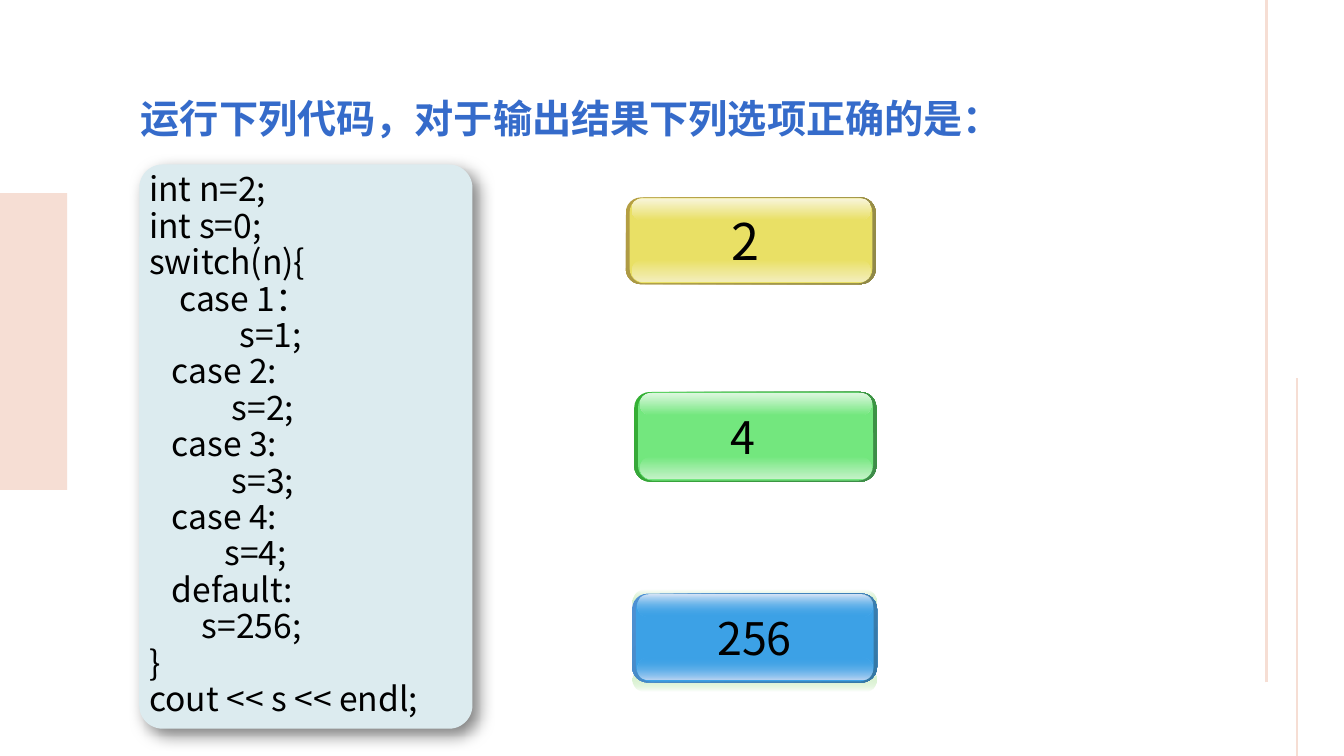
import pptx
import pptx.util
import pptx.dml.color
import pptx.enum.shapes
import pptx.enum.text
import pptx.oxml
import pptx.oxml.ns

Pt = pptx.util.Pt
RGBColor = pptx.dml.color.RGBColor
SHAPE = pptx.enum.shapes.MSO_SHAPE
ANCHOR = pptx.enum.text.MSO_ANCHOR
qn = pptx.oxml.ns.qn

FONT = "Noto Sans CJK SC"
BLACK = RGBColor(0x00, 0x00, 0x00)
WHITE = RGBColor(0xFF, 0xFF, 0xFF)
PINK = RGBColor(0xF6, 0xDE, 0xD4)
CARD = RGBColor(0xDC, 0xEB, 0xEF)
TITLE_BLUE = RGBColor(0x35, 0x6B, 0xCA)
GLOW = RGBColor(0x6E, 0xCC, 0x4C)

# rim start, rim end, face, top shine, bottom shine
YELLOW = (RGBColor(0xB5, 0x9F, 0x43), RGBColor(0x8F, 0x88, 0x49),
          RGBColor(0xE9, 0xE0, 0x65), RGBColor(0xF8, 0xF5, 0xDB),
          RGBColor(0xF3, 0xEE, 0xBB))
GREEN = (RGBColor(0x34, 0xB0, 0x34), RGBColor(0x3F, 0x8B, 0x4A),
         RGBColor(0x73, 0xE7, 0x7E), RGBColor(0xDD, 0xF7, 0xDF),
         RGBColor(0xC3, 0xF2, 0xC7))
BLUE = (RGBColor(0x4E, 0x91, 0xD4), RGBColor(0x34, 0x77, 0xA4),
        RGBColor(0x3C, 0xA1, 0xE6), RGBColor(0xD7, 0xE5, 0xF7),
        RGBColor(0xBD, 0xD6, 0xF3))

TITLE = "运行下列代码，对于输出结果下列选项正确的是："
CODE = """int n=2;
int s=0;
switch(n){
    case 1：
            s=1;
   case 2:
           s=2;
   case 3:
           s=3;
   case 4:
          s=4;
   default:
       s=256;
}
cout << s << endl;"""


def set_attrs(obj, values):
    for name, value in values.items():
        setattr(obj, name, value)


def add_block(slide, box, color=None, radius=None):
    """Add a borderless rectangle, rounded when a radius ratio is given."""
    kind = SHAPE.RECTANGLE if radius is None else SHAPE.ROUNDED_RECTANGLE
    sp = slide.shapes.add_shape(kind, *map(Pt, box))
    if radius is not None:
        sp.adjustments[0] = radius
    sp.shadow.inherit = False
    sp.line.fill.background()
    if color is not None:
        sp.fill.solid()
        sp.fill.fore_color.rgb = color
    return sp


def add_gradient_block(slide, box, radius, colors, angle, clear=None):
    """Angle is clockwise; clear is the colour that fades to transparent."""
    sp = add_block(slide, box, radius=radius)
    sp.fill.gradient()
    sp.fill.gradient_angle = 360 - angle
    for stop, color in zip(sp.fill.gradient_stops, colors):
        stop.color.rgb = color
    for clr in sp.element.spPr.iter(qn("a:srgbClr")):
        if clr.get("val") == str(clear):
            pptx.oxml.ns  # namespace lookup stays with qn
            clr.append(clr.makeelement(qn("a:alpha"), {"val": "0"}))


def add_card_shadow(sp):
    effects = sp.element.spPr.find(qn("a:effectLst"))
    effects.append(pptx.oxml.parse_xml(
        f'<a:outerShdw {pptx.oxml.ns.nsdecls("a")} blurRad="{Pt(12)}"'
        f' dist="{Pt(6)}" dir="2700000" algn="tl" rotWithShape="0">'
        '<a:srgbClr val="000000"><a:alpha val="50000"/></a:srgbClr>'
        '</a:outerShdw>'))


def write_lines(tf, text, size, color=BLACK, bold=False, spacing=None):
    for i, line in enumerate(text.split("\n")):
        p = tf.paragraphs[0] if i == 0 else tf.add_paragraph()
        set_attrs(p, {"alignment": pptx.enum.text.PP_ALIGN.LEFT,
                      "line_spacing": spacing})
        r = p.add_run()
        r.text = line
        r.font.color.rgb = color
        set_attrs(r.font, {"name": FONT, "size": Pt(size), "bold": bold})
        rPr = r.font._element
        rPr.append(rPr.makeelement(qn("a:ea"), {"typeface": FONT}))


def add_text(slide, box, text, size, **style):
    tf = slide.shapes.add_textbox(*map(Pt, box)).text_frame
    tf.word_wrap = True
    write_lines(tf, text, size, **style)


def add_rule(slide, x, top, bottom, width):
    line = slide.shapes.add_connector(
        pptx.enum.shapes.MSO_CONNECTOR.STRAIGHT,
        Pt(x), Pt(bottom), Pt(x), Pt(top))
    line.line.color.rgb = PINK
    line.line.width = Pt(width)
    spPr = line._element.spPr
    spPr.append(spPr.makeelement(qn("a:effectLst"), {}))


def add_glow(slide, x, w, top, bottom):
    for y, colors in ((bottom, (GLOW, WHITE)), (top, (WHITE, GLOW))):
        add_gradient_block(slide, (x, y, w, 17.3), 0.5, colors, 90, GLOW)


def add_button(slide, box, palette, label, size, indent, clear=None):
    """Glossy answer button: rim, labelled face, bottom and top shine."""
    x, y, w, h = box
    rim_start, rim_end, face, top_shine, bottom_shine = palette
    add_gradient_block(slide, box, 0.175, (rim_start, rim_end), 45)
    sp = add_block(slide, (x + 2.8, y + 0.3, w - 5.2, h - 1), face, 0.167)
    set_attrs(sp.text_frame, {"word_wrap": True, "margin_left": Pt(indent),
                              "margin_right": 0,
                              "vertical_anchor": ANCHOR.MIDDLE})
    write_lines(sp.text_frame, label, size)
    for dy, colors in ((0.72 * h, (face, bottom_shine)),
                       (0.7, (top_shine, face))):
        add_gradient_block(slide, (x + 4.2, y + dy, w - 7.5, h / 4), 0.5,
                           colors, 90, clear)


def main():
    prs = pptx.Presentation()
    set_attrs(prs, {"slide_width": Pt(960), "slide_height": Pt(540)})
    slide = prs.slides.add_slide(prs.slide_layouts[6])

    add_block(slide, (0, 138, 48, 212), PINK)
    add_rule(slide, 904.5, 0, 487.5, 2.25)
    add_rule(slide, 926.5, 270, 540, 1.5)

    add_card_shadow(add_block(slide, (99.5, 117.5, 238, 403), CARD, 0.07))
    add_text(slide, (99.5, 119.5, 238, 401), CODE, 24, spacing=Pt(26))
    add_text(slide, (93.5, 64, 652.5, 41), TITLE, 28,
             color=TITLE_BLUE, bold=True)

    add_button(slide, (447, 141, 178.5, 62), YELLOW, "2", 36, 70)
    add_button(slide, (453, 280, 173, 64), GREEN, "4", 32, 63)
    add_glow(slide, 451.5, 174.5, 421, 476.5)
    add_button(slide, (451.5, 424, 175, 63.5), BLUE, "256", 32, 55, BLUE[2])

    prs.save("out.pptx")


if __name__ == "__main__":
    main()
